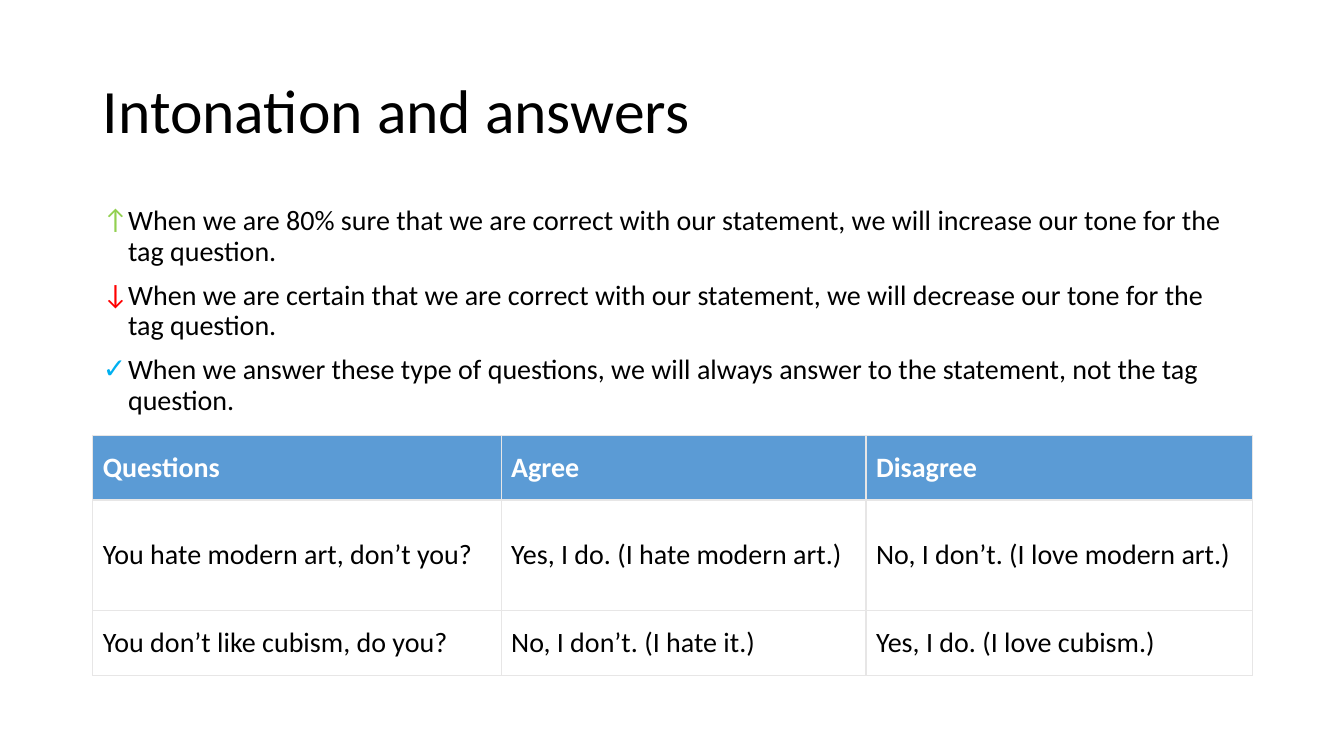
from lxml.etree import SubElement
from pptx import Presentation
from pptx.dml.color import RGBColor
from pptx.enum.text import MSO_ANCHOR, MSO_AUTO_SIZE, PP_ALIGN
from pptx.oxml.ns import qn
from pptx.util import Inches, Pt

COLORS = {
    "text": "000000",
    "header": "5B9BD5",
    "header text": "FFFFFF",
    "cell": "FFFFFF",
    "border": "E7E6E6",
    "rise": "92D050",
    "fall": "FF0000",
    "answer": "00B0F0",
}
FONT = "Calibri"
TITLE = "Intonation and answers"
RULES = [
    ("↑", "rise", "When we are 80% sure that we are correct with our statement, "
     "we will increase our tone for the tag question."),
    ("↓", "fall", "When we are certain that we are correct with our statement, "
     "we will decrease our tone for the tag question."),
    ("✓", "answer", "When we answer these type of questions, "
     "we will always answer to the statement, not the tag question."),
]
ANSWERS = [
    ("Questions", "Agree", "Disagree"),
    ("You hate modern art, don’t you?", "Yes, I do. (I hate modern art.)",
     "No, I don’t. (I love modern art.)"),
    ("You don’t like cubism, do you?", "No, I don’t. (I hate it.)",
     "Yes, I do. (I love cubism.)"),
]
LEFT, WIDTH = 0.92, 11.5
COLUMNS = (4.05, 3.62, 3.83)
ROWS = (0.64, 1.1, 0.64)


def place(shape, top, height):
    shape.left, shape.top = Inches(LEFT), Inches(top)
    shape.width, shape.height = Inches(WIDTH), Inches(height)
    shape.text_frame.auto_size = MSO_AUTO_SIZE.NONE


def style(paragraph, size, color="text", bold=False):
    paragraph.alignment = PP_ALIGN.LEFT
    font = paragraph.font
    font.name, font.size, font.bold = FONT, Pt(size), bold
    font.color.rgb = RGBColor.from_string(COLORS[color])


def add_bullet(paragraph, symbol, color):
    properties = paragraph._p.get_or_add_pPr()
    properties.set("marL", str(Inches(0.25)))
    properties.set("indent", str(-Inches(0.25)))
    bullet_color = SubElement(properties, qn("a:buClr"))
    SubElement(bullet_color, qn("a:srgbClr"), val=COLORS[color])
    SubElement(properties, qn("a:buFont"), typeface=FONT)
    SubElement(properties, qn("a:buChar"), char=symbol)


def fill_cell(cell, text, is_header):
    cell.text = text
    cell.vertical_anchor = MSO_ANCHOR.MIDDLE
    style(cell.text_frame.paragraphs[0], 20,
          "header text" if is_header else "text", is_header)
    properties = cell._tc.get_or_add_tcPr()
    for side in ("lnL", "lnR", "lnT", "lnB"):
        line = SubElement(properties, qn(f"a:{side}"), w=str(Pt(1)))
        line_fill = SubElement(line, qn("a:solidFill"))
        SubElement(line_fill, qn("a:srgbClr"), val=COLORS["border"])
    cell.fill.solid()
    cell.fill.fore_color.rgb = RGBColor.from_string(
        COLORS["header" if is_header else "cell"])


presentation = Presentation()
presentation.slide_width, presentation.slide_height = Inches(13.33), Inches(7.5)
slide = presentation.slides.add_slide(presentation.slide_layouts[1])

title = slide.shapes.title
place(title, 0.4, 1.45)
title.text_frame.text = TITLE
title.text_frame.vertical_anchor = MSO_ANCHOR.MIDDLE
title.text_frame.paragraphs[0].line_spacing = 0.9
style(title.text_frame.paragraphs[0], 44)

body = slide.placeholders[1]
place(body, 2, 2.2)
body.text_frame.text = "\n".join(text for _, _, text in RULES)
for index, (paragraph, rule) in enumerate(zip(body.text_frame.paragraphs, RULES)):
    symbol, color, _ = rule
    paragraph.line_spacing = 0.9
    paragraph.space_before = Pt(10 if index else 0)
    add_bullet(paragraph, symbol, color)
    style(paragraph, 20)

table = slide.shapes.add_table(
    len(ROWS), len(COLUMNS), Inches(LEFT), Inches(4.32),
    Inches(WIDTH), Inches(sum(ROWS))).table
table.horz_banding = False
for column, width in zip(table.columns, COLUMNS):
    column.width = Inches(width)
for row_index, (row, height) in enumerate(zip(table.rows, ROWS)):
    row.height = Inches(height)
    for cell, text in zip(row.cells, ANSWERS[row_index]):
        fill_cell(cell, text, row_index == 0)

presentation.save("out.pptx")
